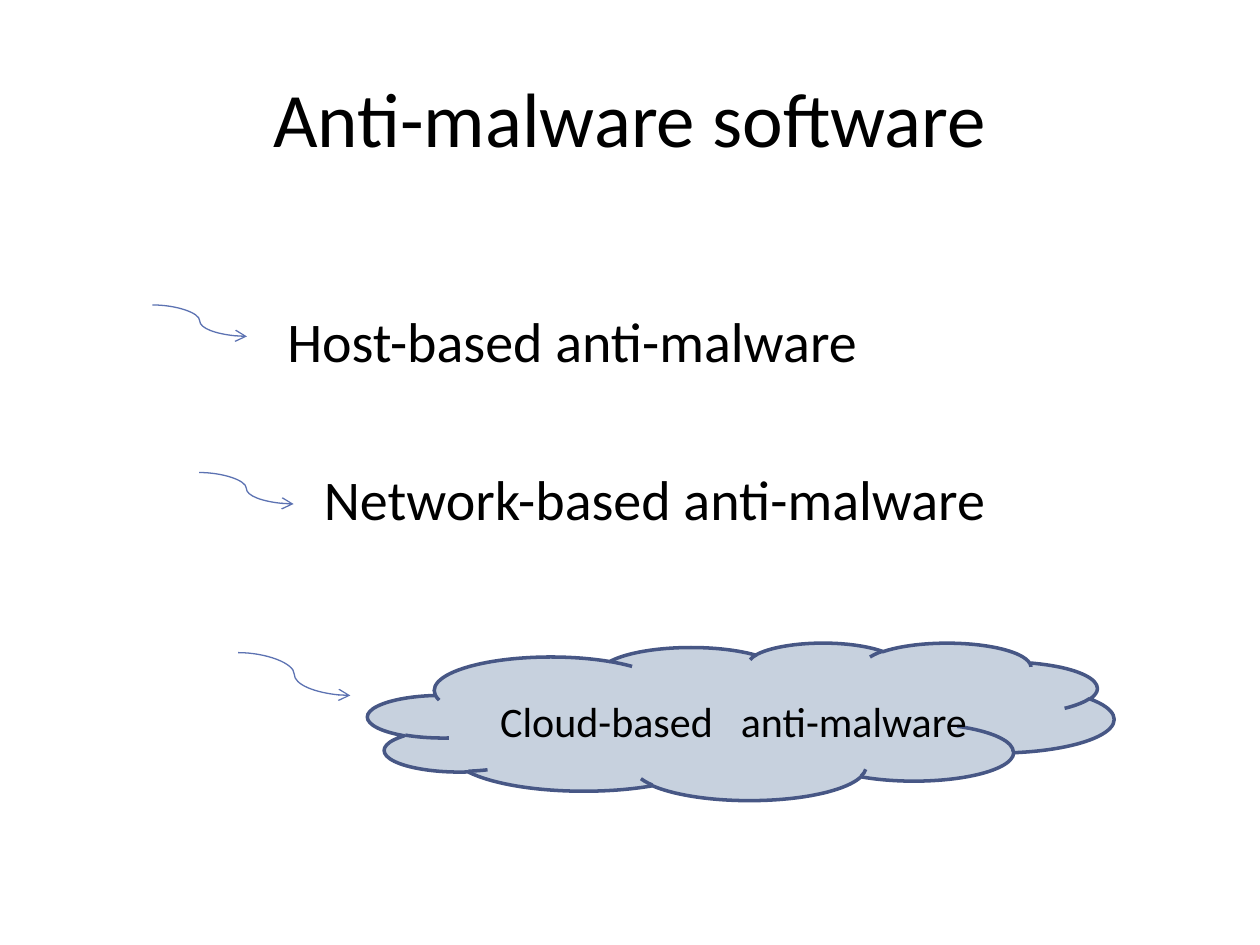
import pptx
import pptx.util
import pptx.dml.color
import pptx.enum.shapes
import pptx.enum.text
import pptx.oxml
import pptx.oxml.ns
from lxml import etree

Inches = pptx.util.Inches
Pt = pptx.util.Pt
RGBColor = pptx.dml.color.RGBColor
Align = pptx.enum.text.PP_ALIGN

BLACK = RGBColor(0x00, 0x00, 0x00)
PALE = RGBColor(0xC7, 0xD1, 0xDE)
NAVY = RGBColor(0x47, 0x57, 0x85)
BLUE = RGBColor(0x5C, 0x72, 0xB2)


def add_text(slide, box, text, size, align=Align.LEFT):
    """Add one middle-anchored line without margins; return its paragraph."""
    frame = slide.shapes.add_textbox(*map(Inches, box)).text_frame
    frame.word_wrap = True
    frame.vertical_anchor = pptx.enum.text.MSO_ANCHOR.MIDDLE
    frame.margin_left = frame.margin_right = 0
    frame.margin_top = frame.margin_bottom = 0
    line = frame.paragraphs[0]
    line.text = text
    line.alignment = align
    line.font.name = "Calibri"
    line.font.size = Pt(size)
    line.font.color.rgb = BLACK
    return line


def add_arrow(slide, box):
    left, top, width, height = box
    arrow = slide.shapes.add_connector(
        pptx.enum.shapes.MSO_CONNECTOR.CURVE,
        Inches(left), Inches(top), Inches(left + width), Inches(top + height))
    arrow.line.color.rgb = BLUE
    arrow.line.width = Pt(0.75)
    tail = etree.SubElement(arrow.line._get_or_add_ln(),
                            pptx.oxml.ns.qn("a:tailEnd"))
    tail.set("type", "arrow")
    etree.SubElement(arrow._element.spPr, pptx.oxml.ns.qn("a:effectLst"))


def add_cloud(slide, box):
    left, top, width, height = box
    cloud = slide.shapes.add_shape(
        pptx.enum.shapes.MSO_SHAPE.CLOUD, *map(Inches, box))
    cloud.shadow.inherit = False
    cloud.fill.solid()
    cloud.fill.fore_color.rgb = PALE
    cloud.line.color.rgb = NAVY
    cloud.line.width = Pt(2)
    label = add_text(slide, (left + 1.05, top + 0.37, width - 2, 0.5),
                     "Cloud-based\tanti-malware", 24)
    stops = etree.SubElement(label._p.get_or_add_pPr(),
                             pptx.oxml.ns.qn("a:tabLst"))
    stop = etree.SubElement(stops, pptx.oxml.ns.qn("a:tab"))
    stop.set("pos", str(Inches(1.91)))
    stop.set("algn", "l")


def add_list(slide, box):
    left, top, width, height = box
    rows = [("Host-based anti-malware", 1.78, 0.68, 0.71, 0.67),
            ("Network-based anti-malware", 2.07, 1.93, 1.08, 2)]
    for text, indent, drop, start, rise in rows:
        add_text(slide, (left + indent, top + drop, width - indent, 0.54),
                 text, 32)
        add_arrow(slide, (left + start, top + rise, 0.75, 0.25))
    add_arrow(slide, (left + 1.39, top + 3.43, 0.89, 0.34))
    add_cloud(slide, (left + 2.42, top + 3.35, 5.92, 1.25))


def main():
    deck = pptx.Presentation()
    deck.slide_width = Inches(10)
    deck.slide_height = Inches(7.5)
    slide = deck.slides.add_slide(deck.slide_layouts[6])
    add_text(slide, (0.5, 0.3, 9, 1.25), "Anti-malware software", 44,
             Align.CENTER)
    add_list(slide, (0.5, 1.75, 9, 4.95))
    deck.save("out.pptx")


if __name__ == "__main__":
    main()
